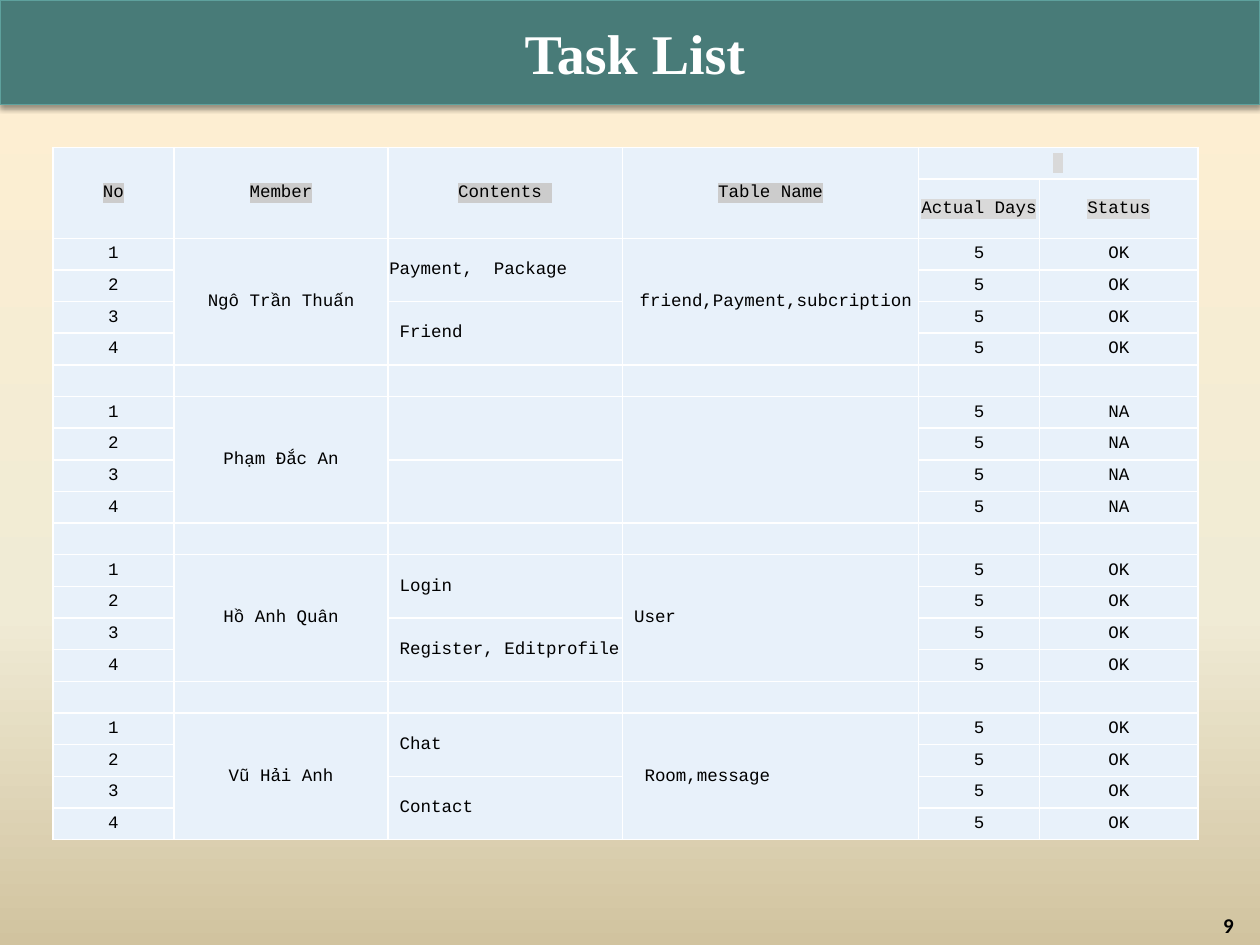
from copy import deepcopy
from typing import NamedTuple, Optional

from lxml.etree import SubElement
from pptx import Presentation
from pptx.dml.color import RGBColor
from pptx.enum.shapes import MSO_SHAPE
from pptx.enum.text import MSO_ANCHOR as Anchor, PP_ALIGN as Align
from pptx.oxml.ns import qn
from pptx.util import Inches, Pt

WHITE = RGBColor(0xFF, 0xFF, 0xFF)
BLACK = RGBColor(0x00, 0x00, 0x00)
TEAL = RGBColor(0x48, 0x7B, 0x78)
TEAL_EDGE = RGBColor(0x5E, 0xA1, 0x9D)
PALE_BLUE = RGBColor(0xE8, 0xF1, 0xFA)
MARK_DARK = RGBColor(0xCC, 0xCC, 0xCC)
MARK_LIGHT = RGBColor(0xD9, 0xD9, 0xD9)
BACKGROUND = [(0, RGBColor(0xFF, 0xEF, 0xD1)),
              (0.65, RGBColor(0xF0, 0xEB, 0xD5)),
              (1, RGBColor(0xD1, 0xC3, 0x9F))]

COL_WIDTHS = [0.96, 1.7, 1.86, 2.35, 0.96, 1.26]
TABLE_HEIGHT, SUBHEAD_HEIGHT = 5.5, 0.47
TASKS, HEAD_ROWS = 4, 2
BLOCK_ROWS = TASKS + 1  # four tasks and an empty row between members


class Member(NamedTuple):
    name: str
    contents: tuple[str, str]
    tables: str
    status: str
    tables_align: Optional[Align] = None


MEMBERS = [
    Member("Ngô Trần Thuấn", ("Payment,  Package", " Friend"),
           " friend,Payment,subcription", "OK", Align.CENTER),
    Member("Phạm Đắc An", ("", ""), "", "NA"),
    Member("Hồ Anh Quân", (" Login", " Register, Editprofile"), " User", "OK"),
    Member("Vũ Hải Anh", (" Chat", " Contact"), "  Room,message", "OK"),
]


def set_attrs(obj, values: dict) -> None:
    for name, value in values.items():
        setattr(obj, name, value)


def add_text(s, box: tuple, text: str, align, font: dict) -> None:
    tf = s.shapes.add_textbox(*map(Inches, box)).text_frame
    set_attrs(tf, {"word_wrap": True, "vertical_anchor": Anchor.MIDDLE,
                   "margin_top": 0, "margin_bottom": 0})
    p = tf.paragraphs[0]
    p.alignment = align
    r = p.add_run()
    r.text = text
    r.font.color.rgb = font.pop("color")
    set_attrs(r.font, font)


def add_solid(parent, tag: str, color: RGBColor) -> None:
    SubElement(SubElement(parent, qn(tag)), qn("a:srgbClr"), val=str(color))


def style_cell(cell) -> None:
    """Pale fill, white borders, tight margins and small empty text."""
    set_attrs(cell, {"vertical_anchor": Anchor.MIDDLE,
                     "margin_left": Inches(0.01), "margin_right": Inches(0.01),
                     "margin_top": Inches(0.01), "margin_bottom": 0})
    tc_pr = cell._tc.get_or_add_tcPr()
    for side in ("L", "R", "T", "B"):
        add_solid(SubElement(tc_pr, qn(f"a:ln{side}"), w=str(Pt(1))),
                  "a:solidFill", WHITE)
    cell.fill.solid()
    cell.fill.fore_color.rgb = PALE_BLUE
    SubElement(cell.text_frame.paragraphs[0]._p, qn("a:endParaRPr"), sz="1000")


def write(cell, text: str, align=Align.CENTER, mark: Optional[RGBColor] = None) -> None:
    if not text:
        return
    p = cell.text_frame.paragraphs[0]
    set_attrs(p, {"alignment": align, "line_spacing": 0.7})
    before = SubElement(p._p.get_or_add_pPr(), qn("a:spcBef"))
    SubElement(before, qn("a:spcPct"), val="50000")
    r = p.add_run()
    r.text = text
    r.font.size = Pt(10)
    r.font.color.rgb = BLACK
    if mark is not None:
        add_solid(r.font._element, "a:highlight", mark)
    r.font.name = "Courier New"


def fill_header(table) -> None:
    for col, label in enumerate(["No", "Member", "Contents ", "Table Name"]):
        table.cell(0, col).merge(table.cell(1, col))
        write(table.cell(0, col), label, mark=MARK_DARK)
    table.cell(0, 4).merge(table.cell(0, 5))
    write(table.cell(0, 4), " ", mark=MARK_LIGHT)
    for col, label in enumerate(["Actual Days", "Status"], start=4):
        write(table.cell(1, col), label, mark=MARK_LIGHT)


def fill_member(table, top: int, member: Member) -> None:
    bottom = top + TASKS - 1
    for col in (1, 3):
        table.cell(top, col).merge(table.cell(bottom, col))
    write(table.cell(top, 1), member.name)
    write(table.cell(top, 3), member.tables, member.tables_align)
    for row, content in zip((top, top + 2), member.contents):
        table.cell(row, 2).merge(table.cell(row + 1, 2))
        write(table.cell(row, 2), content, None)
    for i in range(TASKS):
        for col, text in ((0, str(i + 1)), (4, "5"), (5, member.status)):
            write(table.cell(top + i, col), text)


def add_background(s) -> None:
    fill = s.background.fill
    fill.gradient()
    fill.gradient_angle = 270
    stops = s.element.find(".//" + qn("a:gsLst"))
    stops.append(deepcopy(stops[-1]))
    for stop, (position, color) in zip(fill.gradient_stops, BACKGROUND):
        stop.position = position
        stop.color.rgb = color


def add_banner(s) -> None:
    sp = s.shapes.add_shape(MSO_SHAPE.RECTANGLE, 0, 0, Inches(10), Inches(0.83))
    sp.fill.solid()
    sp.fill.fore_color.rgb = TEAL
    sp.line.color.rgb = TEAL_EDGE
    sp.line.width = Pt(0.75)
    sp.shadow.inherit = False
    shadow = SubElement(sp._element.spPr.find(qn("a:effectLst")), qn("a:outerShdw"),
                        blurRad=str(Pt(3.1)), dist=str(Pt(1.6)), dir="5400000",
                        rotWithShape="0")
    color = SubElement(shadow, qn("a:srgbClr"), val=str(BLACK))
    SubElement(color, qn("a:alpha"), val="38000")


def add_task_table(s) -> None:
    rows = HEAD_ROWS + len(MEMBERS) * BLOCK_ROWS - 1
    frame = s.shapes.add_table(rows, len(COL_WIDTHS), Inches(0.42), Inches(1.17),
                               Inches(sum(COL_WIDTHS)), Inches(TABLE_HEIGHT))
    table = frame.table
    set_attrs(table, {"first_row": False, "horz_banding": False})
    for column, width in zip(table.columns, COL_WIDTHS):
        column.width = Inches(width)
    for row in table.rows:
        row.height = Inches((TABLE_HEIGHT - SUBHEAD_HEIGHT) / (rows - 1))
    table.rows[1].height = Inches(SUBHEAD_HEIGHT)
    for cell in table.iter_cells():
        style_cell(cell)
    fill_header(table)
    for i, member in enumerate(MEMBERS):
        fill_member(table, HEAD_ROWS + i * BLOCK_ROWS, member)


def main() -> None:
    prs = Presentation()
    prs.slide_width, prs.slide_height = Inches(10), Inches(7.5)
    s = prs.slides.add_slide(prs.slide_layouts[6])

    # Background and title banner
    add_background(s)
    add_banner(s)

    # Page number and title
    add_text(s, (0.12, 7.25, 9.77, 0.18), "9", Align.RIGHT,
             {"name": "Calibri", "size": Pt(12), "bold": True, "color": BLACK})
    add_text(s, (0.33, 0.08, 9.42, 0.67), "Task List", Align.CENTER,
             {"name": "Times New Roman", "size": Pt(32), "bold": True, "color": WHITE})

    # Tasks by member
    add_task_table(s)
    prs.save("out.pptx")


if __name__ == "__main__":
    main()
